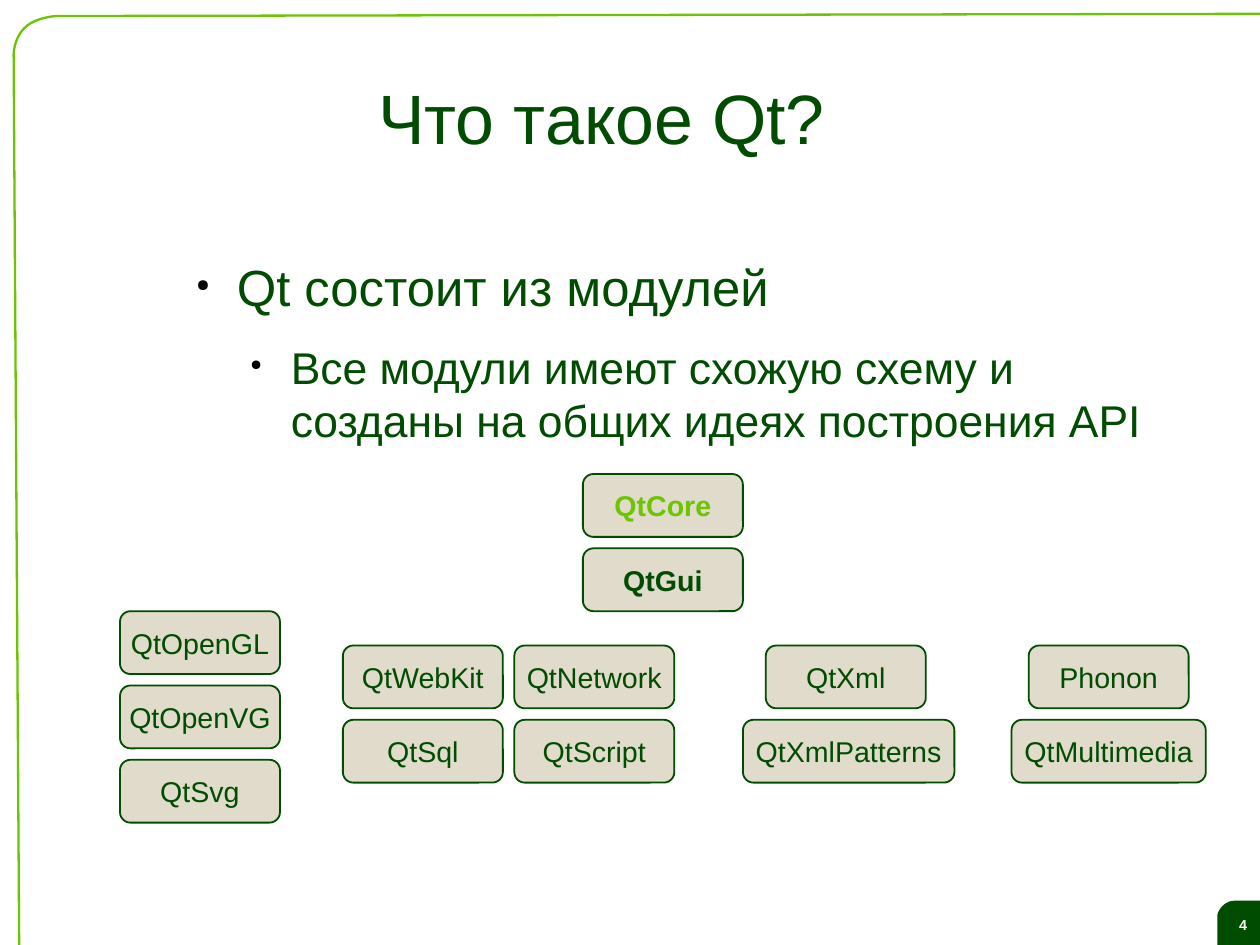
"""Build a slide that shows the Qt modules as columns of boxes."""
from lxml.etree import SubElement
from pptx import Presentation
from pptx.dml.color import RGBColor
from pptx.enum.shapes import MSO_SHAPE as Shape
from pptx.enum.text import MSO_ANCHOR as Anchor, PP_ALIGN as Align
from pptx.oxml.ns import qn
from pptx.util import Pt

WIDTH, HEIGHT = 793.7, 595.28
DARK, LIME, SAND, WHITE, BLACK = "004C00", "6DC400", "E0DBCA", "FFFFFF", "000000"
TITLE = "Что такое Qt?"
PAGE_NUMBER = "4"
BULLETS = [
    ("Qt состоит из модулей", 32, 34, 14.2),
    ("Все модули имеют схожую схему и созданы на общих идеях построения API", 28, 68, 11.3),
]
HANGING = 25.5
COLUMNS = [
    (367.2, 298.6, ["QtCore", "QtGui"]),
    (75.6, 385, ["QtOpenGL", "QtOpenVG", "QtSvg"]),
    (216, 406.6, ["QtWebKit", "QtSql"]),
    (324, 406.6, ["QtNetwork", "QtScript"]),
    (482.4, 406.6, ["QtXml", "QtXmlPatterns"]),
    (648, 406.6, ["Phonon", "QtMultimedia"]),
]
BOX_WIDTH, BOX_HEIGHT, ROW_STEP = 100.8, 39.6, 46.8
WIDE = {"QtXmlPatterns": (14.4, 133.2), "QtMultimedia": (10.8, 122.4)}
EMPHASIS = {"QtCore": {"color": LIME, "bold": True}, "QtGui": {"bold": True}}
FRAME_CURVES = [
    [(36, 10.1), (35.3, 10.1), (21.6, 10.8), (15.1, 18)],
    [(15.1, 18), (8.6, 24.5), (8.6, 34.6), (8.6, 34.6)],
]
TAB_CURVE = [(766.8, 577), (766.8, 574), (771, 567.4), (777.6, 567.4)]
TAB_RIGHT, TAB_BOTTOM = 799.2, 598.3


def paint(target, color):
    """Give a fill or line fill a solid colour."""
    target.solid()
    target.fore_color.rgb = RGBColor.from_string(color)


def write(frame, text, size=18, color=DARK, bold=False, align=Align.CENTER,
          anchor=Anchor.MIDDLE, wrap=True, inset=(0, 0), after=0, new=False):
    """Put one formatted paragraph into a text frame and return it."""
    frame.word_wrap, frame.vertical_anchor = wrap, anchor
    frame.margin_left = frame.margin_right = Pt(inset[0])
    frame.margin_top = frame.margin_bottom = Pt(inset[1])
    para = frame.add_paragraph() if new else frame.paragraphs[0]
    para.alignment, para.space_after = align, Pt(after)
    span = para.add_run()
    span.text = text
    span.font.name, span.font.size, span.font.bold = "Arial", Pt(size), bold
    paint(span.font.fill, color)
    return para


def add_bullet(para, indent):
    """Hang a small black bullet before a paragraph."""
    props = para._p.get_or_add_pPr()
    props.set("marL", str(Pt(indent)))
    props.set("indent", str(Pt(-HANGING)))
    SubElement(SubElement(props, qn("a:buClr")), qn("a:srgbClr"), val=BLACK)
    SubElement(props, qn("a:buSzPct"), val="33000")
    SubElement(props, qn("a:buChar"), char="●")


def curve(points, steps=10):
    """Return points along a cubic curve."""
    weights = [((1 - t) ** 3, 3 * t * (1 - t) ** 2, 3 * t * t * (1 - t), t ** 3)
               for t in (step / steps for step in range(steps + 1))]
    return [tuple(sum(w * point[axis] for w, point in zip(row, points)) for axis in (0, 1))
            for row in weights]


def add_outline(page, points, close):
    """Draw a freeform through points."""
    points = [(Pt(x), Pt(y)) for x, y in points]
    builder = page.shapes.build_freeform(*points[0], scale=1.0)
    builder.add_line_segments(points[1:], close=close)
    outline = builder.convert_to_shape()
    outline.shadow.inherit = False
    return outline


def add_module(page, name, left, top):
    """Draw the box of one module."""
    shift, width = WIDE.get(name, (0, BOX_WIDTH))
    box = page.shapes.add_shape(Shape.ROUNDED_RECTANGLE, Pt(left - shift), Pt(top),
                                Pt(width), Pt(BOX_HEIGHT))
    box.adjustments[0] = 0.167
    box.shadow.inherit = False
    paint(box.fill, SAND)
    paint(box.line.fill, DARK)
    box.line.width = Pt(1.13)
    write(box.text_frame, name, wrap=False, inset=(7.9, 4.3), **EMPHASIS.get(name, {}))


def main():
    """Build and save the slide."""
    deck = Presentation()
    deck.slide_width, deck.slide_height = Pt(WIDTH), Pt(HEIGHT)
    page = deck.slides.add_slide(deck.slide_layouts[6])

    tab = add_outline(page, curve(TAB_CURVE) + [(TAB_RIGHT, 567.4), (TAB_RIGHT, TAB_BOTTOM),
                                               (766.8, TAB_BOTTOM)], True)
    paint(tab.fill, DARK)
    tab.line.fill.background()
    write(tab.text_frame, PAGE_NUMBER, size=9, color=WHITE, bold=True, inset=(7.9, 4.3))

    corner = [point for part in FRAME_CURVES for point in curve(part)]
    border = add_outline(page, [(WIDTH, 8.7)] + corner + [(12.1, HEIGHT)], False)
    border.fill.background()
    paint(border.line.fill, LIME)
    border.line.width = Pt(1.45)

    title = page.shapes.add_textbox(Pt(121), Pt(23.8), Pt(516.2), Pt(99.4))
    write(title.text_frame, TITLE, size=44)

    body = page.shapes.add_textbox(Pt(115.2), Pt(161.3), Pt(638.6), Pt(365.8))
    for level, (text, size, indent, after) in enumerate(BULLETS):
        para = write(body.text_frame, text, size=size, align=Align.LEFT, anchor=Anchor.TOP,
                     after=after, new=level > 0)
        para.level = level
        add_bullet(para, indent)

    for left, top, names in COLUMNS:
        for row, name in enumerate(names):
            add_module(page, name, left, top + row * ROW_STEP)

    deck.save("out.pptx")


if __name__ == "__main__":
    main()
